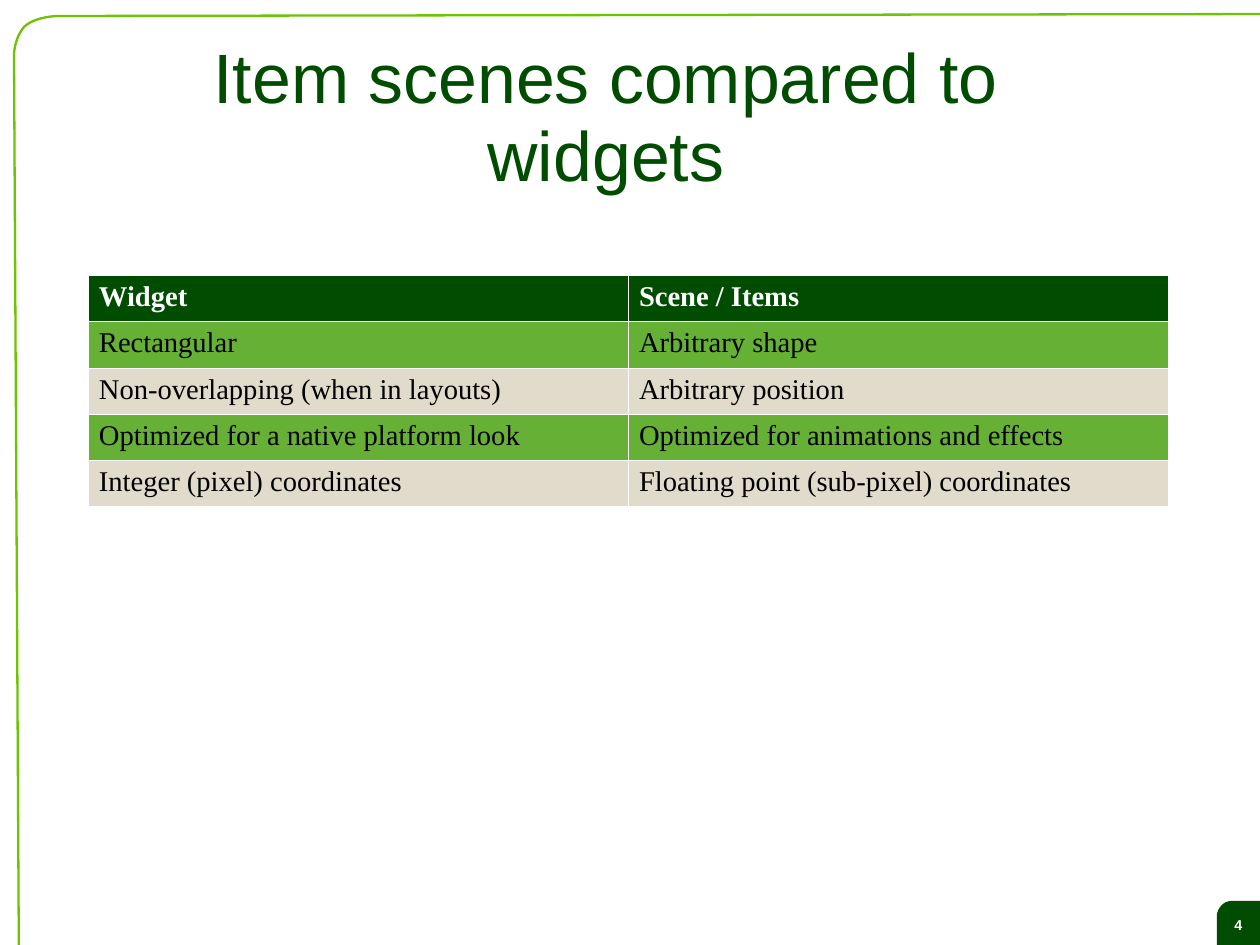
import dataclasses

import pptx
import pptx.dml.color
import pptx.enum.text
import pptx.oxml
import pptx.oxml.ns
import pptx.util
from lxml import etree

EMU_PER_PX = 8000
CURVE_STEPS = 12


@dataclasses.dataclass(frozen=True)
class Theme:
    """Colours, fonts and sizes of the slide."""

    dark: str = "004C00"
    frame: str = "6DC400"
    band: str = "66B036"
    plain: str = "E0DBCA"
    white: str = "FFFFFF"
    black: str = "000000"
    heading_font: str = "Arial"
    table_font: str = "Times New Roman"
    title_size: float = 44
    table_size: float = 18
    number_size: float = 9
    frame_width: float = 1.45
    border_width: float = 0.06


THEME = Theme()

COMPARISON = [
    ("Widget", "Scene / Items"),
    ("Rectangular", "Arbitrary shape"),
    ("Non-overlapping (when in layouts)", "Arbitrary position"),
    ("Optimized for a native platform look", "Optimized for animations and effects"),
    ("Integer (pixel) coordinates", "Floating point (sub-pixel) coordinates"),
]


def px(length):
    """Turn pixels into EMU."""
    return pptx.util.Emu(round(length * EMU_PER_PX))


def rgb(colour):
    """Turn a hex string into a colour."""
    return pptx.dml.color.RGBColor.from_string(colour)


def write(frame, text, *, font, size, colour, bold=False, align=None,
          line_spacing=None, space_before=None, insets=(0, 0, 0, 0), anchor=None):
    """Write one formatted paragraph into a text frame."""
    frame.word_wrap = True
    frame.margin_left, frame.margin_top, frame.margin_right, frame.margin_bottom = map(px, insets)
    frame.vertical_anchor = anchor
    paragraph = frame.paragraphs[0]
    paragraph.alignment = align
    paragraph.line_spacing = line_spacing
    paragraph.space_before = space_before
    run = paragraph.add_run()
    run.text = text
    run.font.name = font
    run.font.size = pptx.util.Pt(size)
    run.font.bold = bold
    run.font.color.rgb = rgb(colour)


def write_centred(slide, box, text, **style):
    """Add a text box with its text centred both ways."""
    label = slide.shapes.add_textbox(*map(px, box))
    write(label.text_frame, text, font=THEME.heading_font, line_spacing=0.93,
          align=pptx.enum.text.PP_ALIGN.CENTER,
          anchor=pptx.enum.text.MSO_ANCHOR.MIDDLE, **style)


def curve(*controls):
    """Return points along a cubic Bezier curve."""
    points = []
    for step in range(CURVE_STEPS + 1):
        t = step / CURVE_STEPS
        weights = ((1 - t) ** 3, 3 * t * (1 - t) ** 2, 3 * t ** 2 * (1 - t), t ** 3)
        points.append(tuple(sum(w * c[axis] for w, c in zip(weights, controls))
                            for axis in (0, 1)))
    return points


def outline(slide, box, points):
    """Add a closed outline whose points are relative to its box."""
    left, top = box[:2]
    start, *rest = [(px(left + x), px(top + y)) for x, y in points]
    builder = slide.shapes.build_freeform(*start, scale=1.0)
    builder.add_line_segments(rest, close=True)
    shape = builder.convert_to_shape()
    shape.shadow.inherit = False
    return shape


def add_frame(slide, box):
    """Draw the green frame with its rounded top left corner."""
    width, height = box[2:]
    corner = (curve((43, 2), (42, 2), (20, 3), (10, 13))
              + curve((10, 13), (0, 25), (0, 41), (0, 41))[1:])
    border = outline(slide, box, corner + [(5, height - 2), (width, height), (width - 7, 0)])
    border.fill.background()
    border.line.color.rgb = rgb(THEME.frame)
    border.line.width = pptx.util.Pt(THEME.frame_width)


def add_page_number(slide, box, number):
    """Draw the page number on its rounded corner tab."""
    width, height = box[2:]
    points = (curve((9, 15), (9, 9), (13, 5), (14, 4))
              + curve((14, 4), (18, 0), (22, 0), (25, 0))[1:]
              + [(width, 0)]
              + curve((width, height - 19), (width, height - 8),
                      (width - 8, height), (width - 19, height))
              + [(9, height)])
    tab = outline(slide, box, points)
    tab.fill.solid()
    tab.fill.fore_color.rgb = rgb(THEME.dark)
    tab.line.fill.background()
    write_centred(slide, box, number, size=THEME.number_size, colour=THEME.white,
                  bold=True, insets=(13, 8, 13, 7))


def add_title(slide, box, title):
    """Place the slide title."""
    write_centred(slide, box, title, size=THEME.title_size, colour=THEME.dark,
                  insets=(0, 5, 0, 0))


def add_borders(cell):
    """Give a cell thin white borders on every side."""
    properties = cell._tc.get_or_add_tcPr()
    for side in ("a:lnL", "a:lnR", "a:lnT", "a:lnB"):
        line = etree.SubElement(properties, pptx.oxml.ns.qn(side),
                                w=str(pptx.util.Pt(THEME.border_width)))
        fill = etree.SubElement(line, pptx.oxml.ns.qn("a:solidFill"))
        etree.SubElement(fill, pptx.oxml.ns.qn("a:srgbClr"), val=THEME.white)


def add_comparison(slide, box, rows):
    """Build the table that compares widgets with scene items."""
    table = slide.shapes.add_table(len(rows), len(rows[0]), *map(px, box)).table
    for row_index, row in enumerate(rows):
        header = row_index == 0
        fill = THEME.dark if header else THEME.band if row_index % 2 else THEME.plain
        for column_index, text in enumerate(row):
            cell = table.cell(row_index, column_index)
            add_borders(cell)
            cell.fill.solid()
            cell.fill.fore_color.rgb = rgb(fill)
            cell.margin_left = cell.margin_right = px(11)
            cell.margin_top = cell.margin_bottom = px(6)
            write(cell.text_frame, text, font=THEME.table_font, size=THEME.table_size,
                  colour=THEME.white if header else THEME.black, bold=header,
                  space_before=pptx.util.Pt(4.5), insets=(11, 6, 11, 6))


def main():
    """Build and save the slide."""
    deck = pptx.Presentation()
    deck.slide_width, deck.slide_height = px(1260), px(945)
    slide = deck.slides.add_slide(deck.slide_layouts[6])
    add_page_number(slide, (1208, 901, 61, 49), "4")
    add_frame(slide, (14, 14, 1281, 966))
    add_title(slide, (197, 38, 818, 158), "Item scenes compared to widgets")
    add_comparison(slide, (88, 275, 1080, 226), COMPARISON)
    deck.save("out.pptx")


if __name__ == "__main__":
    main()
